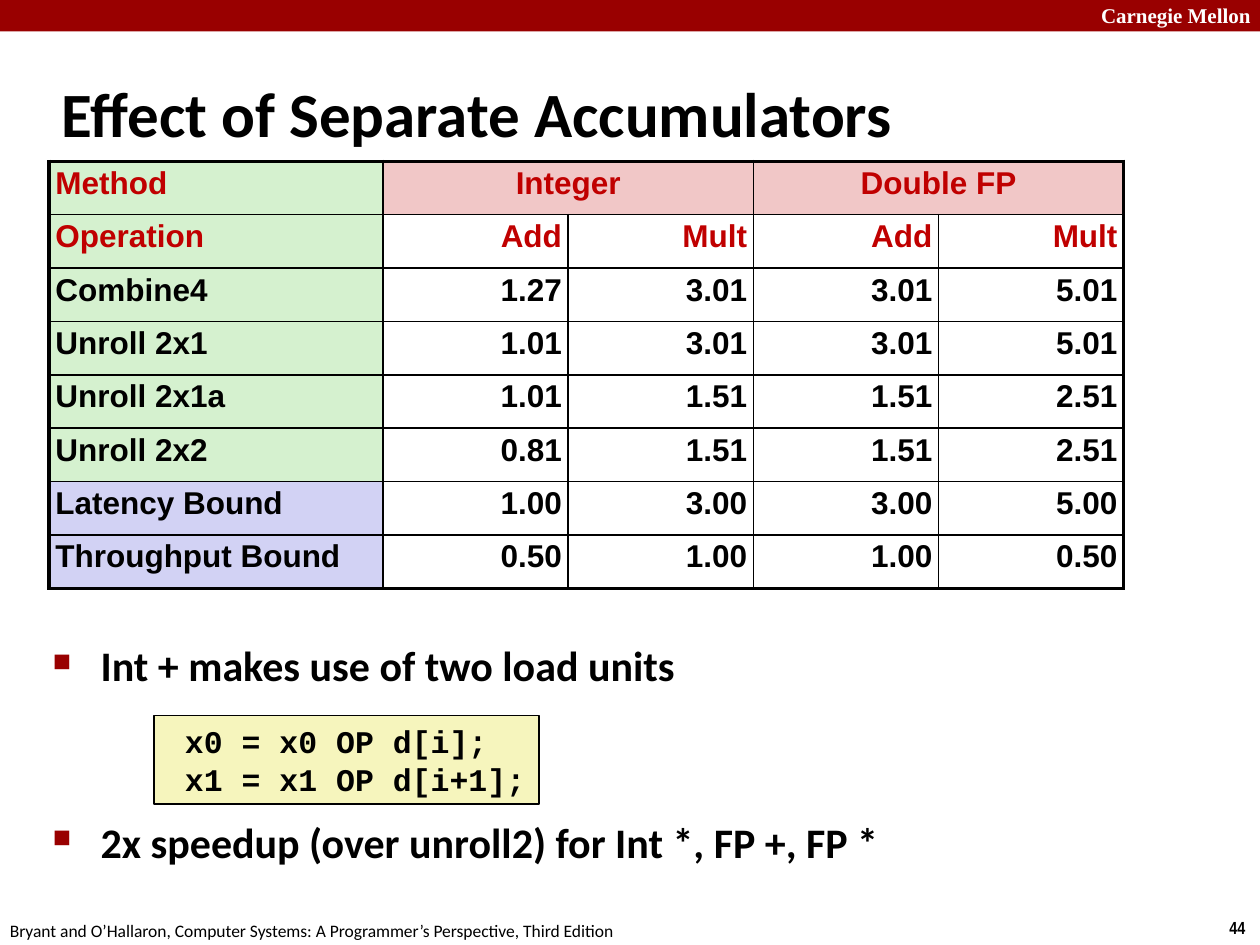
import pptx
import pptx.util
import pptx.dml.color
import pptx.enum.shapes
import pptx.enum.text
import pptx.oxml
import pptx.oxml.ns

Inches, Pt = pptx.util.Inches, pptx.util.Pt
ALIGN = pptx.enum.text.PP_ALIGN
ANCHOR = pptx.enum.text.MSO_ANCHOR
FIT = pptx.enum.text.MSO_AUTO_SIZE

COLORS = {
    "black": "000000", "white": "FFFFFF", "banner": "990000", "heading": "C00000",
    "method": "D5F1CF", "type": "F1C7C7", "bound": "D2D2F4", "code": "F6F5BD",
}
TITLE = "Effect of Separate Accumulators"
TYPES = ["Integer", "Double FP"]
ROWS = [
    ("Method", TYPES[0], "", TYPES[1], ""),
    ("Operation", "Add", "Mult", "Add", "Mult"),
    ("Combine4", "1.27", "3.01", "3.01", "5.01"),
    ("Unroll 2x1", "1.01", "3.01", "3.01", "5.01"),
    ("Unroll 2x1a", "1.01", "1.51", "1.51", "2.51"),
    ("Unroll 2x2", "0.81", "1.51", "1.51", "2.51"),
    ("Latency Bound", "1.00", "3.00", "3.00", "5.00"),
    ("Throughput Bound", "0.50", "1.00", "1.00", "0.50"),
]
HEADING_ROWS, BOUND_ROWS = 2, 2
BULLETS = ["Int + makes use of two load units",
           "2x speedup (over unroll2) for Int *, FP +, FP *"]
CODE = [" x0 = x0 OP d[i];", " x1 = x1 OP d[i+1];"]
# text, place, wraps, font
MARGIN_TEXTS = [
    ("Carnegie Mellon", (8.64, -0.03, 1.43, 0.3), True,
     dict(name="Times New Roman", size=Pt(12), bold=True, color="white")),
    ("44", (9.66, 7.23, 0.34, 0.27), False,
     dict(name="Arial Narrow", size=Pt(10), bold=True)),
    ("Bryant and O’Hallaron, Computer Systems: A Programmer’s Perspective, Third Edition",
     (-0.02, 7.25, 5.08, 0.27), False, dict(name="Calibri", size=Pt(10), bold=False)),
]


def rgb(color):
    return pptx.dml.color.RGBColor.from_string(COLORS[color])


def style_font(font, color="black", **values):
    for name, value in values.items():
        setattr(font, name, value)
    font.color.rgb = rgb(color)


def fill_solid(target, color):
    target.fill.solid()
    target.fill.fore_color.rgb = rgb(color)


def write_lines(frame, lines, **font):
    """Write one paragraph per line and return the paragraphs."""
    frame.text = "\n".join(lines)
    for para in frame.paragraphs:
        para.alignment = ALIGN.LEFT
        for span in para.runs:
            style_font(span.font, **font)
    return frame.paragraphs


def add_rectangle(page, place, color):
    box = page.shapes.add_shape(pptx.enum.shapes.MSO_SHAPE.RECTANGLE, *map(Inches, place))
    box.shadow.inherit = False
    fill_solid(box, color)
    return box


def add_xml(parent, xml):
    tag, rest = xml.split(" ", 1)
    parent.append(pptx.oxml.parse_xml(f"{tag} {pptx.oxml.ns.nsdecls('a')} {rest}"))


def add_margin_texts(page):
    for text, place, wraps, font in MARGIN_TEXTS:
        box = page.shapes.add_textbox(*map(Inches, place))
        box.text_frame.word_wrap = wraps
        write_lines(box.text_frame, [text], **font)


def add_title(page):
    title = page.shapes.title
    for name, value in dict(left=0.39, top=0.48, width=8.3, height=0.83).items():
        setattr(title, name, Inches(value))
    frame = title.text_frame
    frame.auto_size = FIT.NONE
    frame.vertical_anchor = ANCHOR.MIDDLE
    write_lines(frame, [TITLE], name="Calibri", size=Pt(36), bold=True)


def add_bullets(page):
    box = page.shapes.add_textbox(*map(Inches, (0.32, 5.03, 9.09, 2.05)))
    box.text_frame.word_wrap = True
    paras = write_lines(box.text_frame, BULLETS, name="Calibri", size=Pt(24), bold=True)
    for para in paras:
        properties = para._p.get_or_add_pPr()
        properties.set("marL", str(Inches(0.38)))
        properties.set("indent", str(-Inches(0.38)))
        add_xml(properties, f'<a:buClr ><a:srgbClr val="{COLORS["banner"]}"/></a:buClr>')
        add_xml(properties, '<a:buSzPct val="60000"/>')
        add_xml(properties, '<a:buChar char="■"/>')
    # Leaves room for the code box between the two bullets.
    paras[1].space_before = Pt(72)


def add_code(page):
    box = add_rectangle(page, (1.22, 5.68, 3.06, 0.7), "code")
    box.line.color.rgb = rgb("black")
    box.line.width = Pt(1)
    frame = box.text_frame
    frame.word_wrap = False
    frame.auto_size = FIT.SHAPE_TO_FIT_TEXT
    frame.vertical_anchor = ANCHOR.TOP
    write_lines(frame, CODE, name="Courier New", size=Pt(18), bold=True)


def set_borders(cell, outer_sides):
    """Draw all four cell borders, thicker on the table's outer sides."""
    properties = cell._tc.get_or_add_tcPr()
    for side in "LRTB":
        width = Pt(2.25 if side in outer_sides else 1)
        add_xml(properties, f'<a:ln{side} w="{width}"><a:solidFill><a:srgbClr '
                            f'val="{COLORS["black"]}"/></a:solidFill></a:ln{side}>')


def cell_format(row, column):
    """Return the fill color, or None, and the alignment of a cell."""
    if column == 0:
        return ("bound" if row >= len(ROWS) - BOUND_ROWS else "method"), ALIGN.LEFT
    return ("type", ALIGN.CENTER) if row == 0 else (None, ALIGN.RIGHT)


def add_results(page):
    last_row, last_column = len(ROWS) - 1, len(ROWS[0]) - 1
    table = page.shapes.add_table(len(ROWS), len(ROWS[0]),
                                  *map(Inches, (0.39, 1.28, 8.53, 3.39))).table
    table.first_row = table.horz_banding = False
    for index, column in enumerate(table.columns):
        column.width = Inches(1.47 if index else 2.65)
    for first in (1, 3):
        table.cell(0, first).merge(table.cell(0, first + 1))

    for row, values in enumerate(ROWS):
        for column, value in enumerate(values):
            cell = table.cell(row, column)
            right = column + (cell.span_width if cell.is_merge_origin else 1) - 1
            edges = {"L": column == 0, "R": right == last_column,
                     "T": row == 0, "B": row == last_row}
            set_borders(cell, [side for side, outer in edges.items() if outer])
            for side in ("left", "right", "top", "bottom"):
                setattr(cell, f"margin_{side}", Inches(0.05))
            color, alignment = cell_format(row, column)
            if color:
                fill_solid(cell, color)
            else:
                cell.fill.background()
            if cell.is_spanned:
                continue
            para = write_lines(cell.text_frame, [value], name="Arial", size=Pt(18), bold=True,
                               color="heading" if row < HEADING_ROWS else "black")[0]
            para.alignment = alignment
            para.line_spacing = 0.95


def main():
    deck = pptx.Presentation()
    deck.slide_width, deck.slide_height = Inches(10), Inches(7.5)
    page = deck.slides.add_slide(deck.slide_layouts.get_by_name("Title Only"))
    banner = add_rectangle(page, (0, 0, 10, 0.25), "banner")
    banner.line.fill.background()
    add_margin_texts(page)
    add_title(page)
    add_bullets(page)
    add_code(page)
    add_results(page)
    deck.save("out.pptx")


if __name__ == "__main__":
    main()
